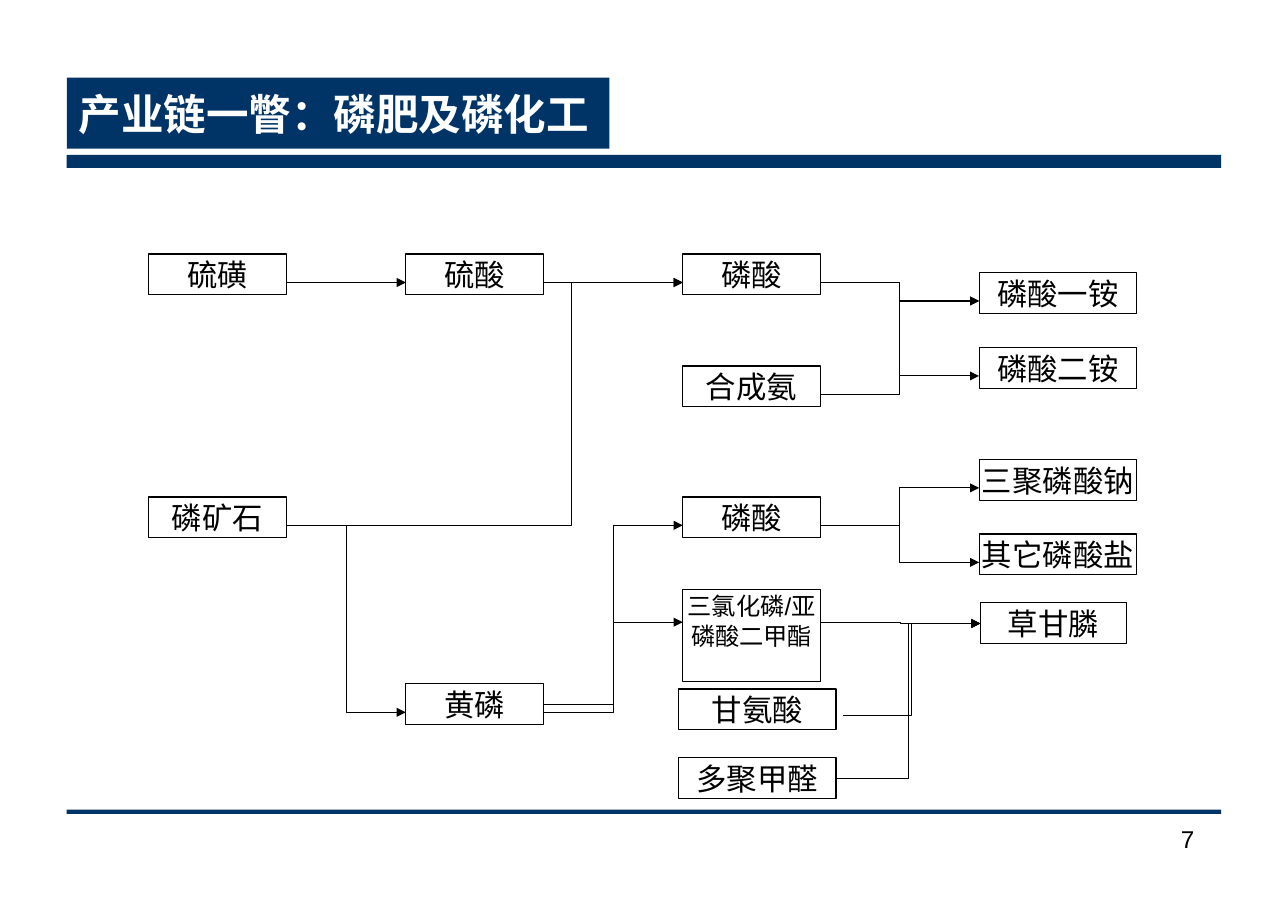
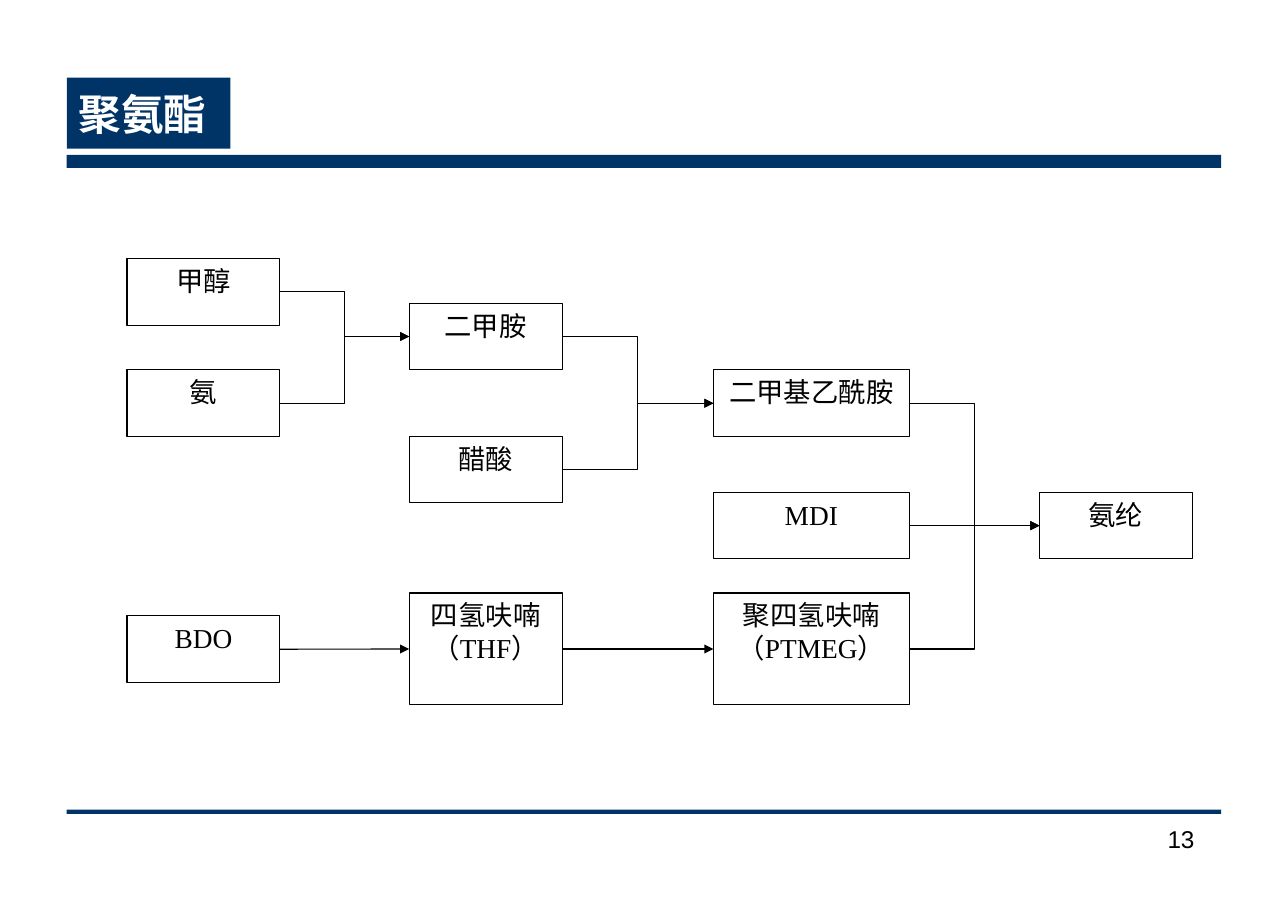
from dataclasses import dataclass
from typing import Any, Optional

from lxml.etree import SubElement
from pptx import Presentation
from pptx.dml.color import RGBColor
from pptx.enum.shapes import MSO_CONNECTOR, MSO_SHAPE
from pptx.enum.text import MSO_ANCHOR, MSO_AUTO_SIZE, PP_ALIGN
from pptx.oxml.ns import qn
from pptx.util import Cm, Pt

NAVY, BLACK, WHITE = "003366", "000000", "FFFFFF"
MARGIN, BAND_WIDTH = 1.55, 26.8
SHARED_INSETS = (0.28, 0.15)


@dataclass(frozen=True)
class Style:
    """Look of the boxes in one diagram."""

    font: str
    size: float
    insets: tuple[float, float]
    fill: Optional[str] = None


@dataclass(frozen=True)
class Node:
    """Labelled box; port is the drop from its top to its arrows."""

    text: str
    left: float
    top: float
    width: float
    height: float = 0.95
    port: float = 0.66
    size: Optional[float] = None


@dataclass(frozen=True)
class Link:
    """Arrow from the right side of one node to the left side of another."""

    source: str
    target: str
    bend: float = 0.5
    gap: float = 0
    lift: float = 0


@dataclass(frozen=True)
class Diagram:
    """Content of one slide."""

    title: str
    title_width: float
    number: str
    style: Style
    nodes: dict[str, Node]
    links: list[Link]


def colour(value: str) -> RGBColor:
    """Turn a hex string into a colour."""
    return RGBColor.from_string(value)


def apply(target: Any, values: dict[str, Any]) -> None:
    """Set each named attribute on the target."""
    for name, value in values.items():
        setattr(target, name, value)


def write(box: Any, text: str, insets: tuple[float, float], font: str,
          size: float, ink: str = BLACK, bold: bool = False,
          align: PP_ALIGN = PP_ALIGN.CENTER,
          anchor: MSO_ANCHOR = MSO_ANCHOR.TOP) -> None:
    """Put one formatted paragraph into a box."""
    side, edge = map(Cm, insets)
    frame = box.text_frame
    apply(frame, {"word_wrap": True, "auto_size": MSO_AUTO_SIZE.NONE,
                  "vertical_anchor": anchor, "margin_left": side,
                  "margin_right": side, "margin_top": edge,
                  "margin_bottom": edge})
    para = frame.paragraphs[0]
    apply(para, {"alignment": align, "space_before": Pt(0)})
    span = para.add_run()
    span.text = text
    apply(span.font, {"name": font, "size": Pt(size), "bold": bold})
    span.font.color.rgb = colour(ink)


def add_box(page: Any, left: float, top: float, width: float, height: float,
            fill: Optional[str], line: Optional[str] = None) -> Any:
    """Draw a flat rectangle."""
    box = page.shapes.add_shape(MSO_SHAPE.RECTANGLE, *map(Cm, (left, top, width, height)))
    box.shadow.inherit = False
    if fill:
        box.fill.solid()
        box.fill.fore_color.rgb = colour(fill)
    else:
        box.fill.background()
    if line:
        box.line.color.rgb = colour(line)
        box.line.width = Pt(0.75)
    else:
        box.line.fill.background()
    return box


def add_node(page: Any, node: Node, style: Style) -> None:
    """Draw a labelled box."""
    box = add_box(page, node.left, node.top, node.width, node.height, style.fill, BLACK)
    write(box, node.text, style.insets, style.font, node.size or style.size)


def add_link(page: Any, link: Link, nodes: dict[str, Node]) -> None:
    """Draw an arrow, bent when its ends differ in height."""
    source, target = nodes[link.source], nodes[link.target]
    start = source.left + source.width + link.gap
    start_level = source.top + source.port - link.lift
    end_level = target.top + target.port
    bent = abs(end_level - start_level) > 0.01
    kind = MSO_CONNECTOR.ELBOW if bent else MSO_CONNECTOR.STRAIGHT
    arrow = page.shapes.add_connector(
        kind, Cm(start), Cm(start_level), Cm(target.left), Cm(end_level))
    arrow.line.color.rgb = colour(BLACK)
    arrow.line.width = Pt(0.75)
    properties = arrow.element.spPr
    SubElement(properties.find(qn("a:ln")), qn("a:tailEnd"), type="triangle")
    SubElement(properties, qn("a:effectLst"))
    if bent:
        guides = properties.find(qn("a:prstGeom")).get_or_add_avLst()
        SubElement(guides, qn("a:gd"), name="adj1", fmla=f"val {round(link.bend * 100000)}")


def add_bands(page: Any, layout: Any) -> None:
    """Place the two bands on the layout that all slides share."""
    for top, height in ((3.6, 0.3), (18.8, 0.1)):
        band = add_box(page, MARGIN, top, BAND_WIDTH, height, NAVY)
        layout.shapes.element.append(band.element)


def add_frame(page: Any, diagram: Diagram) -> None:
    """Fill in the title and the page number."""
    title = page.shapes.title
    apply(title, {"left": Cm(MARGIN), "top": Cm(1.8),
                  "width": Cm(diagram.title_width), "height": Cm(1.65)})
    title.fill.solid()
    title.fill.fore_color.rgb = colour(NAVY)
    write(title, diagram.title, SHARED_INSETS, "Arial", 28, WHITE, True,
          PP_ALIGN.LEFT, MSO_ANCHOR.MIDDLE)
    number = page.shapes.add_textbox(Cm(25.75), Cm(19), Cm(2.26), Cm(1.47))
    write(number, diagram.number, SHARED_INSETS, "Arial", 16, align=PP_ALIGN.RIGHT)


def phosphorus() -> Diagram:
    """Describe the phosphate chain."""
    ore, middle, acid, product = 3.45, 9.42, 15.85, 22.73
    narrow, wide = 3.2, 3.66
    nodes = {
        "ore": Node("磷矿石", ore, 11.54, narrow),
        "sulphur": Node("硫磺", ore, 5.9, narrow),
        "sulphuric": Node("硫酸", middle, 5.9, narrow),
        "yellow": Node("黄磷", middle, 15.88, narrow),
        "wet acid": Node("磷酸", acid, 5.9, narrow),
        "mono": Node("磷酸一铵", product, 6.33, wide),
        "di": Node("磷酸二铵", product, 8.07, wide),
        "ammonia": Node("合成氨", acid, 8.5, narrow),
        "thermal acid": Node("磷酸", acid, 11.54, narrow),
        "tripoly": Node("三聚磷酸钠", product, 10.67, wide),
        "salts": Node("其它磷酸盐", product, 12.4, wide),
        "chloride": Node("三氯化磷/亚磷酸二甲酯", acid, 13.69, narrow, 2.13, 0.76, 16),
        "glyphosate": Node("草甘膦", 22.76, 14, 3.4, port=0.48),
        "glycine": Node("甘氨酸", 15.75, 16, wide, port=0.61),
        "aldehyde": Node("多聚甲醛", 15.75, 17.6, wide, port=0.48),
    }
    links = [
        Link("sulphur", "sulphuric"),
        Link("sulphuric", "wet acid"),
        Link("ore", "wet acid", bend=0.72),
        Link("wet acid", "mono"),
        Link("ammonia", "mono"),
        Link("wet acid", "di"),
        Link("ore", "yellow"),
        Link("yellow", "thermal acid"),
        Link("yellow", "chloride", lift=0.18),
        Link("thermal acid", "tripoly"),
        Link("thermal acid", "salts"),
        Link("chloride", "glyphosate"),
        Link("glycine", "glyphosate", gap=0.15),
        Link("aldehyde", "glyphosate"),
    ]
    return Diagram("产业链一瞥：磷肥及磷化工", 12.6, "7",
                   Style("Arial", 20, (0.05, 0.05)), nodes, links)


def polyurethane() -> Diagram:
    """Describe the polyurethane chain."""
    first, second, third, last = 2.95, 9.5, 16.56, 24.13
    narrow, wide = 3.55, 4.55
    low, tall = (1.55, 0.775), (2.6, 1.3)
    nodes = {
        "methanol": Node("甲醇", first, 6, narrow, *low),
        "ammonia": Node("氨", first, 8.59, narrow, *low),
        "BDO": Node("BDO", first, 14.3, narrow, *low),
        "amine": Node("二甲胺", second, 7.04, narrow, *low),
        "acetic": Node("醋酸", second, 10.13, narrow, *low),
        "amide": Node("二甲基乙酰胺", third, 8.59, wide, *low),
        "THF": Node("四氢呋喃（THF）", second, 13.77, narrow, *tall),
        "PTMEG": Node("聚四氢呋喃（PTMEG）", third, 13.77, wide, *tall),
        "MDI": Node("MDI", third, 11.43, wide, *low),
        "spandex": Node("氨纶", last, 11.43, narrow, *low),
    }
    links = [
        Link("methanol", "amine"),
        Link("ammonia", "amine"),
        Link("BDO", "THF"),
        Link("amine", "amide"),
        Link("acetic", "amide"),
        Link("THF", "PTMEG"),
        Link("amide", "spandex"),
        Link("MDI", "spandex"),
        Link("PTMEG", "spandex"),
    ]
    return Diagram("聚氨酯", 3.8, "13",
                   Style("Times New Roman", 18, (0.25, 0.13), WHITE), nodes, links)


def main() -> None:
    """Build and save the deck."""
    deck = Presentation()
    apply(deck, {"slide_width": Cm(29.9), "slide_height": Cm(21.2)})
    layout = deck.slide_layouts[5]
    for index, diagram in enumerate((phosphorus(), polyurethane())):
        page = deck.slides.add_slide(layout)
        if index == 0:
            add_bands(page, layout)
        add_frame(page, diagram)
        for node in diagram.nodes.values():
            add_node(page, node, diagram.style)
        for link in diagram.links:
            add_link(page, link, diagram.nodes)
    deck.save("out.pptx")


if __name__ == "__main__":
    main()
